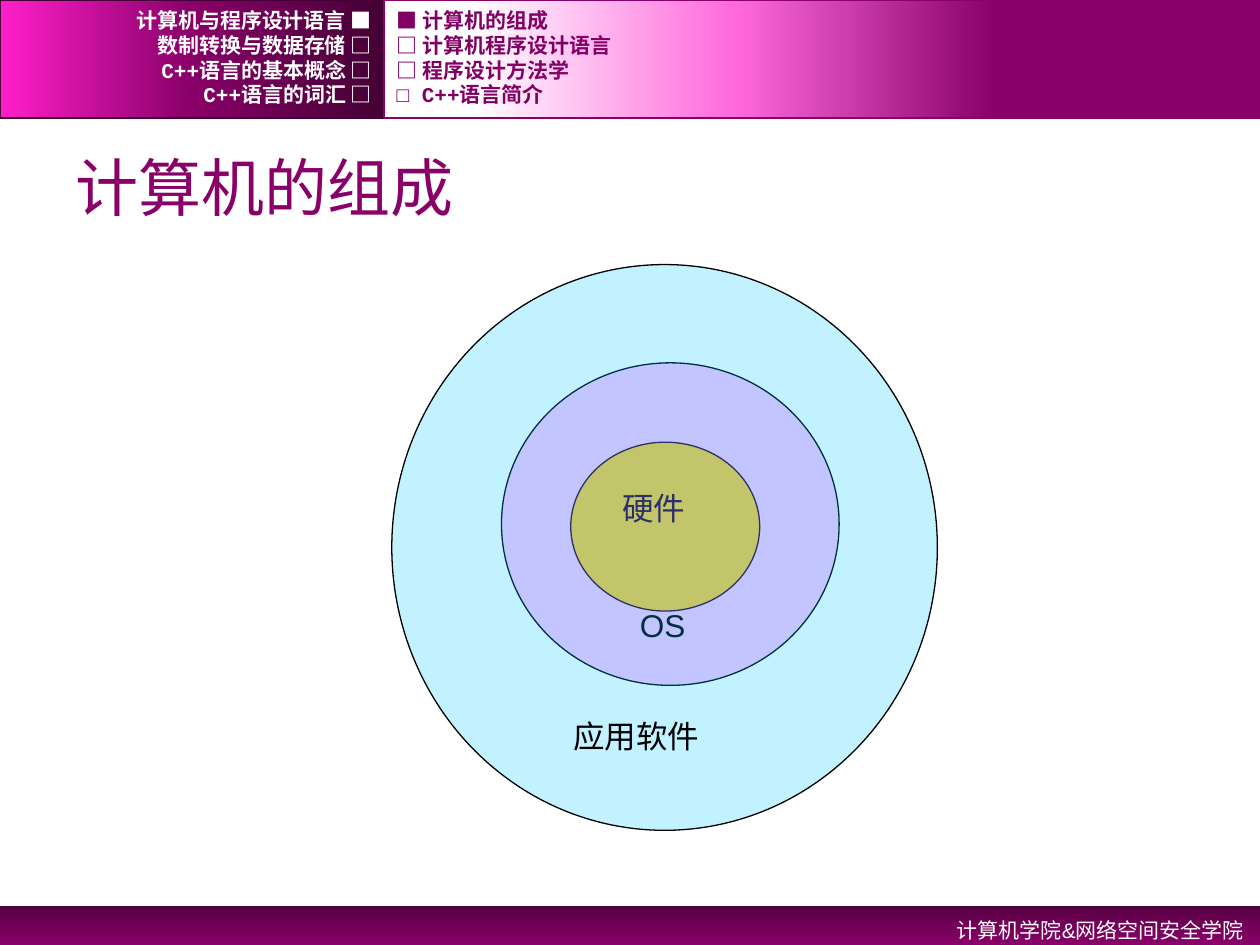
from lxml import etree
from pptx import Presentation
from pptx.dml.color import RGBColor as RGB
from pptx.enum.shapes import MSO_SHAPE as SHAPE
from pptx.enum.text import MSO_ANCHOR as ANCHOR, PP_ALIGN as ALIGN
from pptx.oxml import parse_xml
from pptx.oxml.ns import nsdecls, qn
from pptx.util import Inches, Pt

C = {"plum": "880068", "dark": "440034", "deep": "51003E", "mid": "730058",
     "pink": "FF1FCA", "rose": "FF69DC", "menu": "820064", "white": "FFFFFF",
     "black": "000000", "yellow": "FFFF00", "magenta": "FF00FF", "cyan": "00CCFF"}

prs = Presentation()
prs.slide_width, prs.slide_height = Inches(10), Inches(7.5)
s = prs.slides.add_slide(prs.slide_layouts[6])


def place(x, y, w, h):
    """Turn percentages of the slide into left, top, width, height."""
    W, H = prs.slide_width, prs.slide_height
    return [int(v * side / 100) for v, side in ((x, W), (y, H), (w, W), (h, H))]


def text(words, x, y, w, h, size=18, color="black", font="Arial", bold=False,
         align=ALIGN.LEFT, anchor=ANCHOR.TOP, spacing=None):
    tf = s.shapes.add_textbox(*place(x, y, w, h)).text_frame
    tf.word_wrap, tf.vertical_anchor = True, anchor
    p = tf.paragraphs[0]
    p.alignment, p.line_spacing = align, spacing
    r = p.add_run()
    r.text = words
    r.font.name, r.font.size, r.font.bold = font, Pt(size), bold
    r.font.color.rgb = RGB.from_string(C[color])


# Gradient bars: footer, left header, right header
SPLIT, HEAD, FOOT = 30.5, 12.53, 95.87
bars = [
    ((0, FOOT, 100, 100 - FOOT), 90, None, [(0, "deep"), (50, "mid"), (100, "plum")]),
    ((0, 0, SPLIT, HEAD), 180, "dark", [(0, "dark"), (50, "plum"), (100, "pink")]),
    ((SPLIT, 0, 100 - SPLIT, HEAD), 180, "plum", [(30, "plum"), (60, "rose"), (90, "white")]),
]
for area, angle, edge, stops in bars:
    sp = s.shapes.add_shape(SHAPE.RECTANGLE, *place(*area))
    sp.shadow.inherit = False
    if edge:
        sp.line.color.rgb = RGB.from_string(C[edge])
        sp.line.width = Pt(1)
    else:
        sp.line.fill.background()
    marks = "".join(f'<a:gs pos="{pos * 1000}"><a:srgbClr val="{C[name]}"/></a:gs>'
                    for pos, name in stops)
    grad = parse_xml(f'<a:gradFill {nsdecls("a")} rotWithShape="1"><a:gsLst>{marks}</a:gsLst>'
                     f'<a:lin ang="{angle * 60000}" scaled="1"/></a:gradFill>')
    sp._element.spPr.find(qn("a:prstGeom")).addnext(grad)

# Footer and title
text("计算机学院&网络空间安全学院", 64.2, FOOT, 35.5, 4.27, size=12, color="white",
     align=ALIGN.RIGHT, spacing=1.2)
text("计算机的组成", 5, 14.53, 90, 10.4, size=36, color="plum", anchor=ANCHOR.MIDDLE)

# Nested layers, innermost first: ellipse, colour, opacity, label
layers = [
    ((45.3, 46.8, 15, 17.87), "yellow", 100, "硬件", (48.4, 51.07, 11.8, 7.73)),
    ((39.8, 38.4, 26.8, 34.13), "magenta", 23, "OS", (49.8, 63.47, 14.2, 7.73)),
    ((31.1, 28, 43.3, 59.87), "cyan", 24, "应用软件", (44.5, 75.2, 21.3, 7.73)),
]
for area, color, opacity, label, spot in layers:
    sp = s.shapes.add_shape(SHAPE.OVAL, *place(*area))
    sp.shadow.inherit = False
    sp.fill.solid()
    sp.fill.fore_color.rgb = RGB.from_string(C[color])
    if opacity < 100:
        clr = sp._element.spPr.find(qn("a:solidFill")).find(qn("a:srgbClr"))
        etree.SubElement(clr, qn("a:alpha")).set("val", str(opacity * 1000))
    sp.line.color.rgb = RGB.from_string(C["black"])
    sp.line.width = Pt(0.75)
    text(label, *spot)

# Header menus: chapters on the left, sections on the right
menus = [
    (0, SPLIT, "white", ALIGN.RIGHT,
     ["计算机与程序设计语言 ■", "数制转换与数据存储 □", "C++语言的基本概念 □", "C++语言的词汇 □"]),
    (SPLIT, 60.2, "menu", ALIGN.LEFT,
     ["■ 计算机的组成", "□ 计算机程序设计语言", "□ 程序设计方法学", "□ C++语言简介"]),
]
for x, w, color, align, items in menus:
    for row, item in enumerate(items):
        text(item, x, 0.8 + 2.62 * row, w, 2.67, size=12, color=color, font="Courier New",
             bold=True, align=align, anchor=ANCHOR.MIDDLE)

prs.save("out.pptx")
